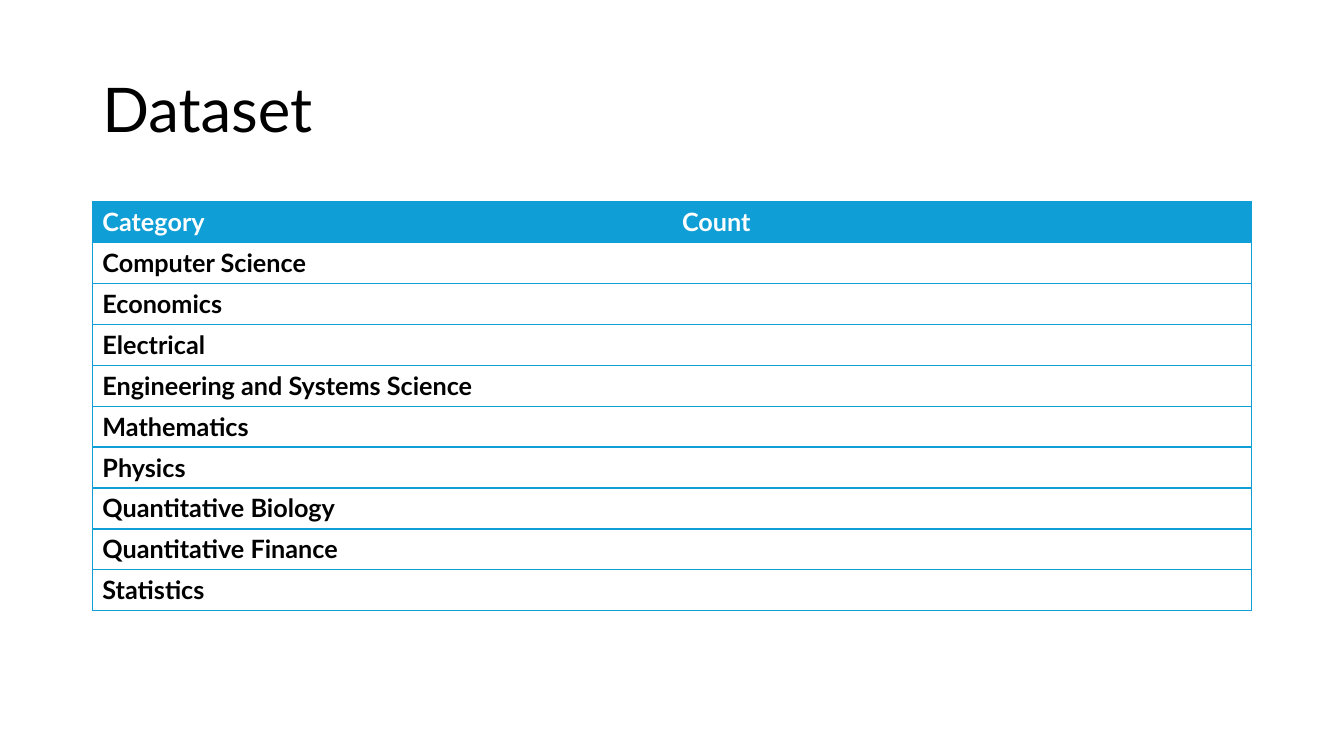
from lxml import etree
from pptx import Presentation
from pptx.dml.color import RGBColor
from pptx.enum.text import MSO_ANCHOR
from pptx.oxml.ns import qn
from pptx.util import Pt

MIDDLE = MSO_ANCHOR.MIDDLE
EMU_PER_PX = 9525
COLORS = {"accent": "0F9ED5", "text": "000000", "paper": "FFFFFF"}
CATEGORIES = [
    "Computer Science", "Economics", "Electrical",
    "Engineering and Systems Science", "Mathematics", "Physics",
    "Quantitative Biology", "Quantitative Finance", "Statistics",
]


def px(*lengths):
    return [length * EMU_PER_PX for length in lengths]


class DatasetSlide:
    font_name = "Lato"

    def __init__(self, deck):
        self.page = deck.slides.add_slide(deck.slide_layouts[6])

    def style(self, para, size, color, bold=False):
        font = para.font
        font.name, font.size, font.bold = self.font_name, Pt(size), bold
        font.color.rgb = RGBColor.from_string(COLORS[color])

    def title(self, text, left, top, width, height):
        box = self.page.shapes.add_textbox(*px(left, top, width, height))
        frame = box.text_frame
        frame.word_wrap = True
        frame.vertical_anchor = MIDDLE
        para = frame.paragraphs[0]
        para.text = text
        para.line_spacing = 0.9
        self.style(para, 44, "text")

    def border(self, cell, side, visible):
        properties = cell._tc.get_or_add_tcPr()
        line = etree.SubElement(properties, qn(f"a:ln{side}"), w=str(Pt(1)))
        if visible:
            fill = etree.SubElement(line, qn("a:solidFill"))
            etree.SubElement(fill, qn("a:srgbClr"), val=COLORS["accent"])
        else:
            etree.SubElement(line, qn("a:noFill"))

    def table(self, rows, left, top, width, row_height):
        column_count = len(rows[0])
        frame = self.page.shapes.add_table(
            len(rows), column_count,
            *px(left, top, width, row_height * len(rows)))
        for row_index, texts in enumerate(rows):
            header = row_index == 0
            for column, text in enumerate(texts):
                cell = frame.table.cell(row_index, column)
                edges = {"L": column == 0, "R": column == column_count - 1,
                         "T": True, "B": True}
                for side, visible in edges.items():
                    self.border(cell, side, visible)
                cell.fill.solid()
                cell.fill.fore_color.rgb = RGBColor.from_string(
                    COLORS["accent" if header else "paper"])
                para = cell.text_frame.paragraphs[0]
                if text:
                    para.text = text
                self.style(para, 18, "paper" if header else "text", bold=True)


def main():
    deck = Presentation()
    deck.slide_width, deck.slide_height = px(1280, 720)
    slide = DatasetSlide(deck)
    slide.title("Dataset", 88, 38, 1104, 139)
    rows = [("Category", "Count")] + [(name, "") for name in CATEGORIES]
    slide.table(rows, 88, 192, 1104, 39)
    deck.save("out.pptx")


if __name__ == "__main__":
    main()
